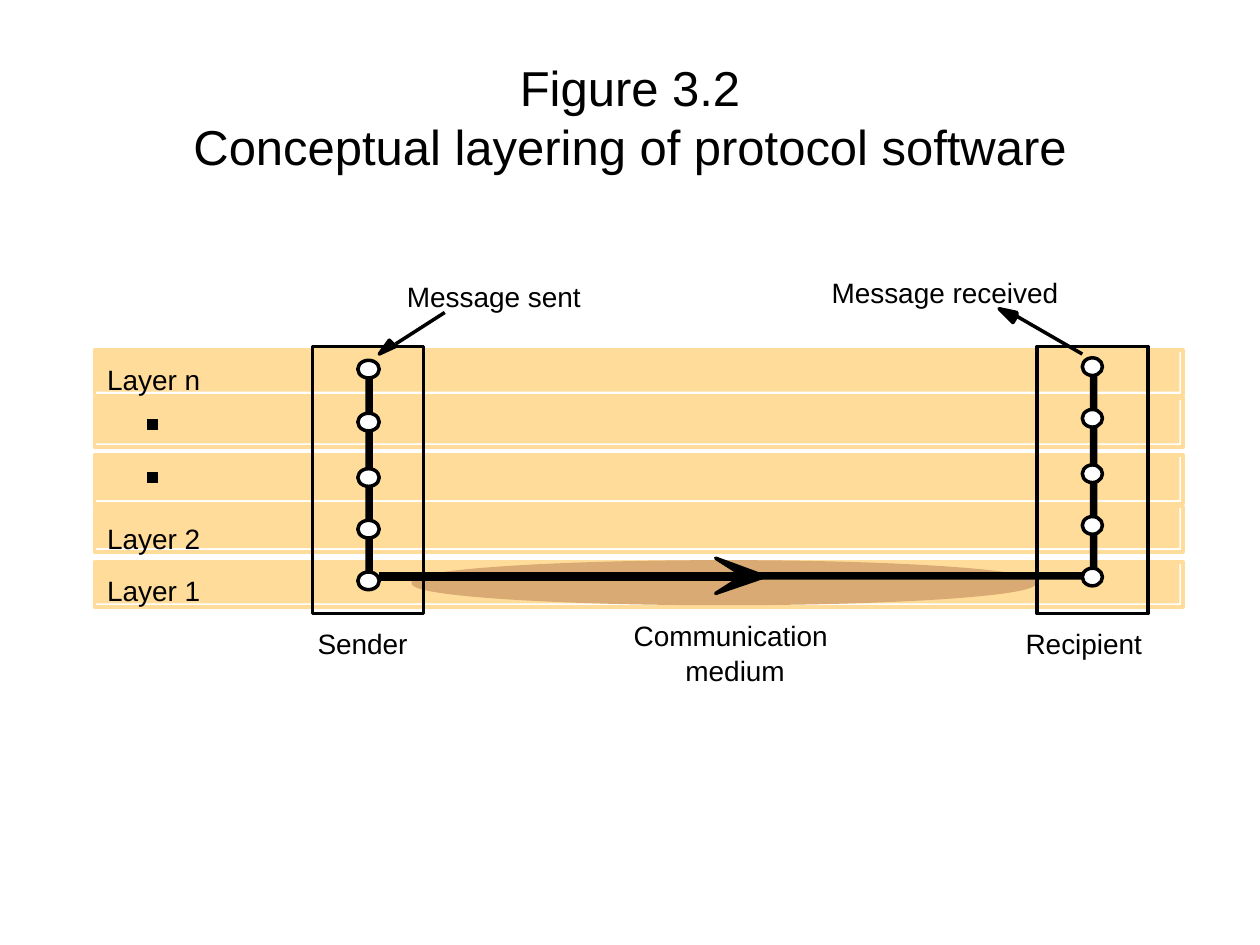
from lxml import etree
from pptx import Presentation
from pptx.dml.color import RGBColor
from pptx.enum import shapes, text
from pptx.oxml import ns
from pptx.util import Inches, Pt

BLACK = RGBColor(0, 0, 0)
WHITE = RGBColor(255, 255, 255)
LAYER = RGBColor(0xFF, 0xDC, 0x99)
MEDIUM = RGBColor(0xD9, 0xAA, 0x73)
RECTANGLE = shapes.MSO_SHAPE.RECTANGLE
OVAL = shapes.MSO_SHAPE.OVAL

presentation = Presentation()
presentation.slide_width = Inches(10)
presentation.slide_height = Inches(7.5)
slide = presentation.slides.add_slide(presentation.slide_layouts[6])


def add_text(content, left, top, width, height, size=16, wrap=False,
             align=text.PP_ALIGN.LEFT, anchor=text.MSO_ANCHOR.TOP):
    box = slide.shapes.add_textbox(Inches(left), Inches(top), Inches(width), Inches(height))
    frame = box.text_frame
    frame.margin_left = frame.margin_right = frame.margin_top = frame.margin_bottom = 0
    frame.word_wrap = wrap
    frame.vertical_anchor = anchor
    paragraph = frame.paragraphs[0]
    paragraph.text = content
    paragraph.alignment = align
    for run in paragraph.runs:
        run.font.size = Pt(size)
        run.font.name = "Arial"
        run.font.color.rgb = BLACK


def add_figure(kind, left, top, width, height, fill=None, line=None, weight=2):
    shape = slide.shapes.add_shape(kind, Inches(left), Inches(top), Inches(width), Inches(height))
    shape.shadow.inherit = False
    if fill is None:
        shape.fill.background()
    else:
        shape.fill.solid()
        shape.fill.fore_color.rgb = fill
    if line is None:
        shape.line.fill.background()
    else:
        shape.line.color.rgb = line
        shape.line.width = Pt(weight)


add_text("Figure 3.2\vConceptual layering of protocol software", 0.5, 0.3, 9, 1.25,
         size=28, wrap=True, align=text.PP_ALIGN.CENTER, anchor=text.MSO_ANCHOR.MIDDLE)

for top, height in [(2.78, 0.33), (3.16, 0.36), (3.61, 0.36), (4.02, 0.33), (4.46, 0.33)]:
    add_figure(RECTANGLE, 0.75, top, 8.61, height, fill=LAYER)
    add_figure(RECTANGLE, 0.75, top, 8.64, height + 0.03, line=LAYER)

add_figure(OVAL, 3.28, 4.46, 4.93, 0.33, fill=MEDIUM, line=MEDIUM)
add_figure(RECTANGLE, 3.01, 4.54, 5.67, 0.06, fill=BLACK)

for content, left, top, width in [
    ("Layer n", 0.85, 2.88, 0.74),
    ("Layer 2", 0.85, 4.14, 0.74),
    ("Layer 1", 0.85, 4.55, 0.74),
    ("Message sent", 3.23, 2.22, 1.38),
    ("Message received", 6.6, 2.19, 1.8),
    ("Communication", 5.03, 4.91, 1.54),
    ("medium", 5.44, 5.19, 0.79),
    ("Sender", 2.52, 4.97, 0.72),
    ("Recipient", 8.14, 4.97, 0.93),
]:
    add_text(content, left, top, width, 0.27)

for box_left, node_width, node_tops in [
    (2.48, 0.17, [2.86, 3.28, 3.72, 4.13, 4.54]),
    (8.23, 0.16, [2.84, 3.25, 3.69, 4.1, 4.51]),
]:
    add_figure(RECTANGLE, box_left, 2.75, 0.88, 2.12, line=BLACK)
    add_figure(RECTANGLE, box_left + 0.42, 2.92, 0.06, 1.68, fill=BLACK)
    for top in node_tops:
        add_figure(OVAL, box_left + 0.36, top, node_width, 0.14, fill=WHITE, line=BLACK)

for start, *points in [
    [(6.09, 4.57), (5.68, 4.71), (5.9, 4.57), (5.68, 4.43), (6.06, 4.57)],
    [(8.07, 2.51), (8.04, 2.56), (7.93, 2.45), (8.07, 2.48)],
    [(3.12, 2.73), (3.14, 2.75), (3.01, 2.81), (3.09, 2.7)],
]:
    builder = slide.shapes.build_freeform(Inches(start[0]), Inches(start[1]))
    builder.add_line_segments([(Inches(x), Inches(y)) for x, y in points], close=True)
    arrowhead = builder.convert_to_shape()
    arrowhead.shadow.inherit = False
    arrowhead.fill.solid()
    arrowhead.fill.fore_color.rgb = BLACK
    arrowhead.line.color.rgb = BLACK
    arrowhead.line.width = Pt(2)

for ends in [(3.01, 4.6, 5.87, 4.6), (8.59, 2.81, 8.07, 2.51), (3.53, 2.48, 3.14, 2.73)]:
    connector = slide.shapes.add_connector(shapes.MSO_CONNECTOR.STRAIGHT, *map(Inches, ends))
    connector.line.color.rgb = BLACK
    connector.line.width = Pt(2)
    etree.SubElement(connector._element.spPr, ns.qn("a:effectLst"))

for top in (3.33, 3.75):
    add_figure(RECTANGLE, 1.17, top, 0.08, 0.08, fill=BLACK, line=BLACK, weight=0.75)

presentation.save("out.pptx")
